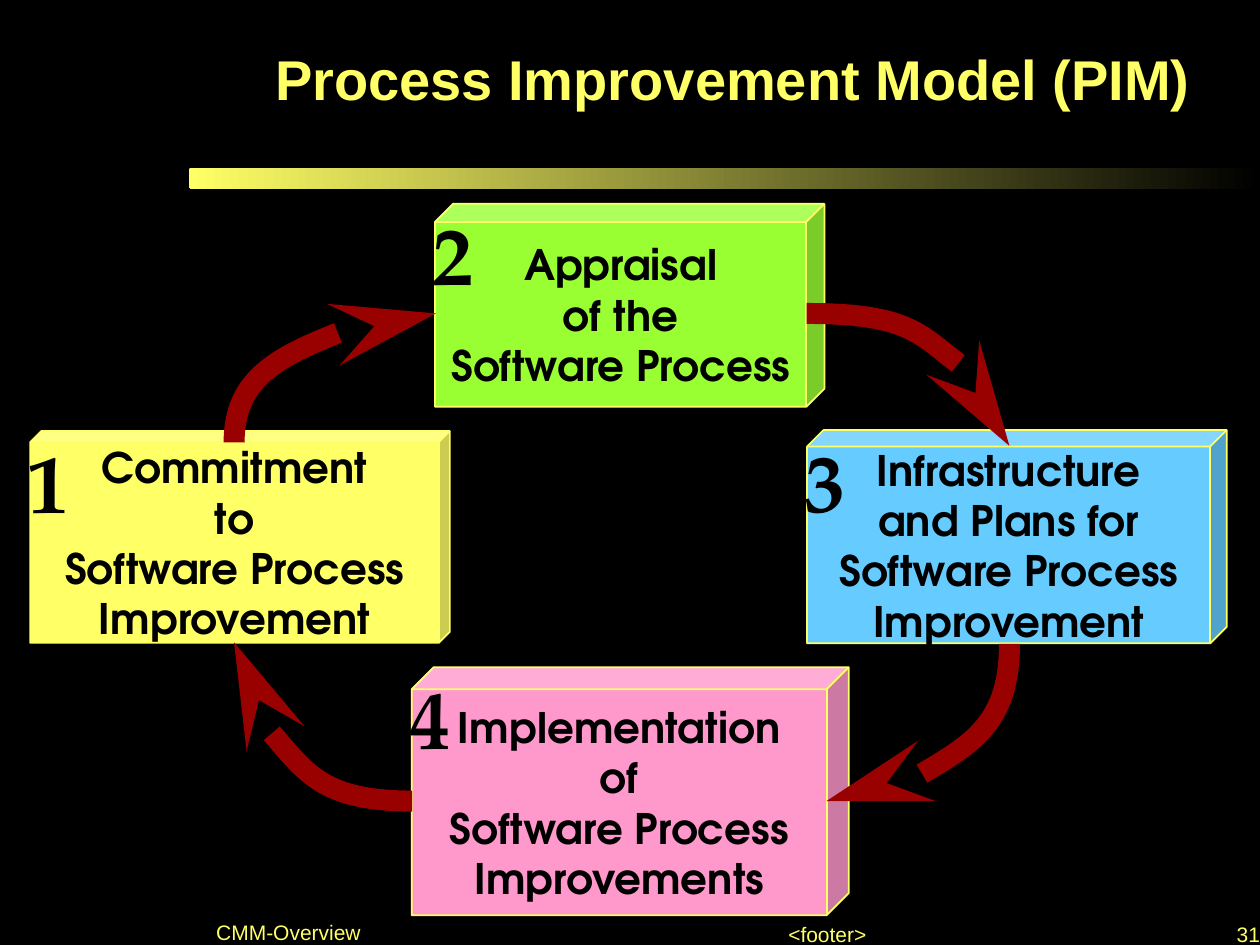
from dataclasses import dataclass

from lxml.etree import SubElement
from pptx import Presentation
from pptx.dml.color import RGBColor
from pptx.enum.shapes import MSO_CONNECTOR, MSO_SHAPE
from pptx.enum.text import MSO_ANCHOR as Anchor, PP_ALIGN as Align
from pptx.oxml.ns import qn
from pptx.util import Cm, Pt


@dataclass(frozen=True)
class Theme:
    black: RGBColor = RGBColor(0x00, 0x00, 0x00)
    yellow: RGBColor = RGBColor(0xFF, 0xFF, 0x66)
    green: RGBColor = RGBColor(0x99, 0xFF, 0x33)
    blue: RGBColor = RGBColor(0x66, 0xCC, 0xFF)
    pink: RGBColor = RGBColor(0xFF, 0x99, 0xCC)
    red: RGBColor = RGBColor(0x99, 0x00, 0x00)
    plain_font: str = "Arial"
    step_font: str = "TeX Gyre Adventor"
    number_font: str = "TeX Gyre Pagella"
    title_size: int = 32
    step_size: int = 24
    number_size: int = 47
    footer_size: int = 12


THEME = Theme()

STEPS = [
    ("Commitment\nto\nSoftware Process\nImprovement",
     (0.61, 8.69, 8.46, 4.27), 0.052, THEME.yellow),
    ("Appraisal\nof the\nSoftware Process",
     (8.77, 4.11, 7.85, 4.09), 0.089, THEME.green),
    ("Infrastructure\nand Plans for\nSoftware Process\nImprovement",
     (16.27, 8.67, 8.46, 4.3), 0.077, THEME.blue),
    ("Implementation\nof\nSoftware Process\nImprovements",
     (8.3, 13.45, 8.81, 5.0), 0.089, THEME.pink),
]

ARROWS = [
    ((4.72, 8.92), (8.79, 6.32), True),
    ((16.26, 6.32), (20.35, 8.99), False),
    ((20.35, 12.98), (16.66, 16.15), True),
    ((8.31, 16.15), (4.72, 12.95), False),
]

FOOTERS = [
    ("<footer>", (15.48, 18.57, 2.4, 0.51), Align.CENTER, 1.0),
    ("CMM-Overview", (4.36, 18.24, 4.1, 0.81), Align.LEFT, 0.8),
    ("31", (24.89, 18.67, 0.51, 0.41), Align.RIGHT, 0.8),
]


def lengths(values):
    return [Cm(value) for value in values]


def write(frame, text, font, size, color, bold=False, align=Align.LEFT,
          anchor=Anchor.MIDDLE, wrap=True, spacing=1.0):
    frame.text = text
    frame.word_wrap = wrap
    frame.vertical_anchor = anchor
    for paragraph in frame.paragraphs:
        paragraph.alignment = align
        paragraph.line_spacing = spacing
        for run in paragraph.runs:
            run.font.name = font
            run.font.size = Pt(size)
            run.font.bold = bold
            run.font.color.rgb = color


def remove_margins(frame):
    frame.margin_left = frame.margin_right = 0
    frame.margin_top = frame.margin_bottom = 0


def add_label(slide, box, text, font, size, color, **style):
    frame = slide.shapes.add_textbox(*lengths(box)).text_frame
    remove_margins(frame)
    write(frame, text, font, size, color, **style)


def add_title(slide, text):
    title = slide.shapes.title
    title.left, title.top, title.width, title.height = lengths(
        (4.11, 0, 19.9, 3.42))
    remove_margins(title.text_frame)
    write(title.text_frame, text, THEME.plain_font, THEME.title_size,
          THEME.yellow, bold=True, align=Align.RIGHT, spacing=0.8)


def add_title_bar(slide):
    bar = slide.shapes.add_shape(MSO_SHAPE.ROUNDED_RECTANGLE,
                                 *lengths((3.81, 3.38, 21.59, 0.43)))
    bar.shadow.inherit = False
    bar.line.fill.background()
    bar.fill.gradient()
    bar.fill.gradient_angle = 180
    for stop, color in zip(bar.fill.gradient_stops,
                           (THEME.black, THEME.yellow)):
        stop.color.rgb = color


def add_step(slide, number, text, box, depth, color):
    cube = slide.shapes.add_shape(MSO_SHAPE.CUBE, *lengths(box))
    cube.adjustments[0] = depth
    cube.shadow.inherit = False
    cube.fill.solid()
    cube.fill.fore_color.rgb = color
    cube.line.color.rgb = THEME.yellow
    cube.line.width = Pt(1)
    write(cube.text_frame, text, THEME.step_font, THEME.step_size,
          THEME.black, bold=True, align=Align.CENTER, wrap=False)
    left, top = box[:2]
    add_label(slide, (left - 0.05, top, 0.94, 1.98), str(number),
              THEME.number_font, THEME.number_size, THEME.black,
              bold=True, wrap=False)


def add_arrow(slide, start, end, leaves_vertically):
    (x1, y1), (x2, y2) = start, end
    if leaves_vertically:
        center_x, center_y = (x1 + x2) / 2, (y1 + y2) / 2
        half_x, half_y = (y2 - y1) / 2, (x1 - x2) / 2
        x1, y1 = center_x - half_x, center_y - half_y
        x2, y2 = center_x + half_x, center_y + half_y
    arrow = slide.shapes.add_connector(MSO_CONNECTOR.CURVE,
                                       *lengths((x1, y1, x2, y2)))
    arrow.line.color.rgb = THEME.red
    arrow.line.width = Pt(12)
    properties = arrow._element.spPr
    properties.find(qn("a:prstGeom")).set("prst", "curvedConnector2")
    if leaves_vertically:
        properties.find(qn("a:xfrm")).set("rot", str(90 * 60000))
    SubElement(properties.find(qn("a:ln")), qn("a:tailEnd"),
               type="stealth", w="med", len="lg")
    SubElement(properties, qn("a:effectLst"))


def main():
    deck = Presentation()
    deck.slide_width, deck.slide_height = Cm(25.4), Cm(19.05)
    slide = deck.slides.add_slide(deck.slide_layouts[5])
    slide.background.fill.solid()
    slide.background.fill.fore_color.rgb = THEME.black

    add_title_bar(slide)
    add_title(slide, "Process Improvement Model (PIM)")
    for number, step in enumerate(STEPS, start=1):
        add_step(slide, number, *step)
    for arrow in ARROWS:
        add_arrow(slide, *arrow)
    for text, box, align, spacing in FOOTERS:
        add_label(slide, box, text, THEME.plain_font, THEME.footer_size,
                  THEME.yellow, align=align, anchor=Anchor.BOTTOM,
                  spacing=spacing)
    deck.save("out.pptx")


if __name__ == "__main__":
    main()
